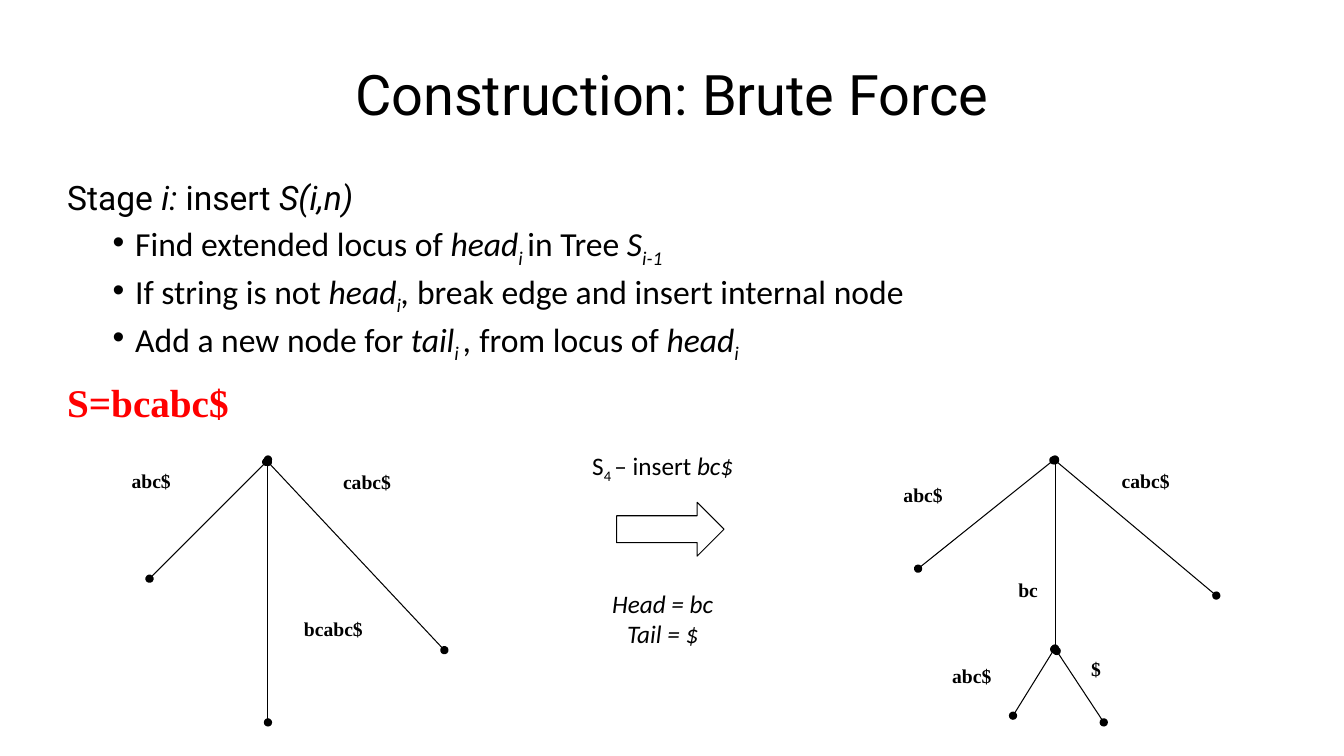
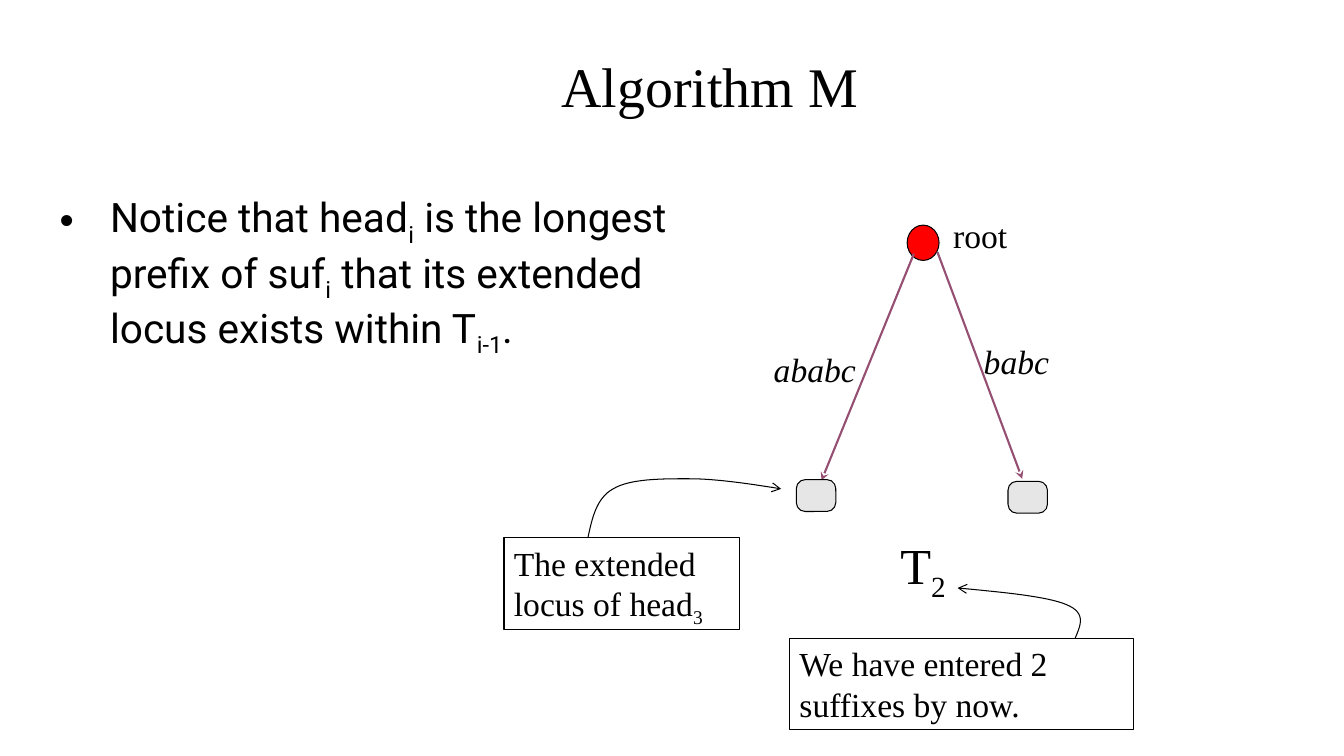
from dataclasses import dataclass

from lxml import etree
from pptx import Presentation
from pptx.dml.color import RGBColor
from pptx.enum.shapes import MSO_CONNECTOR, MSO_SHAPE
from pptx.enum.text import MSO_ANCHOR, PP_ALIGN
from pptx.oxml.ns import qn
from pptx.util import Emu, Pt

LEFT, CENTER = PP_ALIGN.LEFT, PP_ALIGN.CENTER
TOP, MIDDLE = MSO_ANCHOR.TOP, MSO_ANCHOR.MIDDLE
STRAIGHT = MSO_CONNECTOR.STRAIGHT
ARROW, OVAL = MSO_SHAPE.RIGHT_ARROW, MSO_SHAPE.OVAL
ROUND = MSO_SHAPE.ROUNDED_RECTANGLE

BLACK = RGBColor(0x00, 0x00, 0x00)
WHITE = RGBColor(0xFF, 0xFF, 0xFF)
RED = RGBColor(0xFF, 0x00, 0x00)
GRAY = RGBColor(0xE7, 0xE6, 0xE6)
PLUM = RGBColor(0x95, 0x4F, 0x72)

SANS, BODY, SERIF = "Roboto", "Calibri", "Times New Roman"
COLS, ROWS = 160, 90  # grid of twelve cells to the inch
CELL = 76200
THIN = 0.75

Point = tuple[float, float]
Box = tuple[float, float, float, float]


@dataclass(frozen=True)
class Para:
    """A paragraph: *...* is italic, _..._ is subscript; lengths in cells."""
    text: str
    size: float
    face: str = SERIF
    color: RGBColor = BLACK
    bold: bool = False
    align: PP_ALIGN = LEFT
    before: float = 0
    pitch: float = 1
    left: float = 0
    hang: float = 0


@dataclass(frozen=True)
class Label:
    """Text centred on column x, its box starting at row y."""
    text: str
    x: float
    y: float
    size: float = 24
    face: str = SERIF
    bold: bool = False


@dataclass(frozen=True)
class Edge:
    start: Point
    end: Point
    color: RGBColor = BLACK
    width: float = THIN
    head: str = "oval"
    tail: str = "oval"


@dataclass(frozen=True)
class Form:
    kind: MSO_SHAPE
    box: Box
    fill: RGBColor
    adj: tuple[float, ...] = ()


def cells(*nums: float) -> list[Emu]:
    return [Emu(round(n * CELL)) for n in nums]


# Text
def add_para(para, item: Para) -> None:
    para.alignment = item.align
    para.line_spacing = item.pitch
    para.space_before = Pt(item.before)
    if item.hang:
        props = para._p.get_or_add_pPr()
        left, hang = cells(item.left, item.hang)
        props.set("marL", str(left))
        props.set("indent", str(-hang))
        etree.SubElement(props, qn("a:buFont")).set("typeface", "Arial")
        etree.SubElement(props, qn("a:buChar")).set("char", "•")
    font = para.font
    font.size, font.name, font.bold = Pt(item.size), item.face, item.bold
    font.color.rgb = item.color
    for i, part in enumerate(item.text.split("*")):
        for j, text in enumerate(part.split("_")):
            if not text:
                continue
            run = para.add_run()
            run.text = text
            if i % 2:
                run.font.italic = True
            if j % 2:
                run._r.get_or_add_rPr().set("baseline", "-25000")


def add_text(slide, box: Box, items: list[Para], anchor=TOP, inset: bool = False):
    shape = slide.shapes.add_textbox(*cells(*box))
    frame = shape.text_frame
    frame.word_wrap = True
    frame.vertical_anchor = anchor
    if not inset:
        frame.margin_left = frame.margin_right = 0
        frame.margin_top = frame.margin_bottom = 0
    for i, item in enumerate(items):
        add_para(frame.add_paragraph() if i else frame.paragraphs[0], item)
    return shape


def add_title(slide, text: str, box: Box, face: str) -> None:
    add_text(slide, box, [Para(text, 39.9, face, align=CENTER)], MIDDLE)


def add_label(slide, tag: Label) -> None:
    wide = 24
    items = [Para(line, tag.size, tag.face, bold=tag.bold, align=CENTER)
             for line in tag.text.split("\n")]
    add_text(slide, (tag.x - wide / 2, tag.y, wide, 5), items, inset=True)


def add_note(slide, text: str, box: Box) -> None:
    shape = add_text(slide, box, [Para(text, 24)], inset=True)
    set_line(shape)


# Lines and shapes
def set_line(shape, color: RGBColor = BLACK, width: float = THIN,
             head: str = "none", tail: str = "none") -> None:
    shape.line.color.rgb = color
    shape.line.width = Pt(width)
    ln = shape.line._get_or_add_ln()
    for name, kind in (("a:headEnd", head), ("a:tailEnd", tail)):
        if kind != "none":
            etree.SubElement(ln, qn(name)).set("type", kind)


def add_edge(slide, edge: Edge) -> None:
    line = slide.shapes.add_connector(STRAIGHT, *cells(*edge.start, *edge.end))
    set_line(line, edge.color, edge.width, edge.head, edge.tail)
    etree.SubElement(line._element.spPr, qn("a:effectLst"))


def add_form(slide, form: Form) -> None:
    shape = slide.shapes.add_shape(form.kind, *cells(*form.box))
    shape.shadow.inherit = False
    shape.fill.solid()
    shape.fill.fore_color.rgb = form.fill
    set_line(shape)
    for i, value in enumerate(form.adj):
        shape.adjustments[i] = value


def add_curve(slide, start: Point, arcs: list[tuple[Point, Point, Point]]) -> None:
    """Trace cubic arcs, each given as two handles and an end point."""
    steps = 16
    pen = slide.shapes.build_freeform(*cells(*start))
    last = start
    for one, two, end in arcs:
        dots = []
        for step in range(1, steps + 1):
            t = step / steps
            u = 1 - t
            dots.append(cells(*(
                u**3 * a + 3 * u * u * t * b + 3 * u * t * t * c + t**3 * d
                for a, b, c, d in zip(last, one, two, end))))
        pen.add_line_segments(dots, close=False)
        last = end
    shape = pen.convert_to_shape()
    shape.shadow.inherit = False
    shape.fill.background()
    set_line(shape, tail="arrow")


# Slides
def draw_force(slide) -> None:
    add_title(slide, "Construction: Brute Force", (8, 3.6, 144, 15), SANS)
    points = ("Find extended locus of *head_i _*in Tree *S_i-1_*",
              "If string is not *head_i_, *break edge and insert internal node",
              "Add a new node for *tail_i _, *from locus of *head_i_*")
    add_text(slide, (8, 21.1, 144, 67.3), [
        Para("Stage *i: *insert *S(i,n)*", 24, SANS),
        *(Para(text, 24, BODY, before=4.5, pitch=0.9, left=8.1, hang=2.7)
          for text in points),
        Para("S=bcabc$", 28, color=RED, bold=True, before=12.8)])

    # Trees before and after the insertion
    for edge in (Edge((17.8, 68.9), (31.7, 55)),
                 Edge((31.9, 54.7), (31.9, 86)),
                 Edge((31.9, 55), (52.9, 77.4)),
                 Edge((109.3, 67.7), (125.4, 54.8)),
                 Edge((125.6, 54.7), (125.6, 77.2)),
                 Edge((125.6, 54.8), (144.8, 70.9)),
                 Edge((125.5, 77.3), (120.6, 85.2)),
                 Edge((125.8, 77.5), (131.4, 86))):
        add_edge(slide, edge)
    for text, x, y in (("abc$", 18, 55.2), ("bcabc$", 39.7, 72.8),
                       ("cabc$", 43.7, 55.4), ("abc$", 109.9, 56.9),
                       ("bc", 122.4, 68.2), ("cabc$", 136.4, 55.2),
                       ("abc$", 115.7, 78.4), ("$", 130.5, 77.6)):
        add_label(slide, Label(text, x, y, 14, bold=True))

    # Step between the trees
    add_label(slide, Label("S_4 _– insert *bc$*", 78.9, 53, 18, BODY))
    add_form(slide, Form(ARROW, (73.4, 59.8, 12.8, 6.4), WHITE, (0.5, 0.5)))
    add_label(slide, Label("*Head = bc*\n*Tail = $*", 78.9, 69.4, 18, BODY))


def draw_algo(slide) -> None:
    add_title(slide, "Algorithm M", (34, 3.1, 101, 14), SERIF)
    add_text(slide, (7.1, 22.9, 79, 64), [
        Para("Notice that head_i_ is the longest prefix of suf_i_ that its "
             "extended locus exists within T_i-1_.", 29, SANS, left=6, hang=6)])

    # Tree
    add_form(slide, Form(OVAL, (108, 26.8, 3.8, 4.2), RED))
    for start, end in (((108.8, 30.2), (97.8, 57.2)),
                       ((111.6, 30), (121.7, 57))):
        add_edge(slide, Edge(start, end, PLUM, 1.5, "none", "stealth"))
    for x, y in ((94.8, 57.1), (120, 57.3)):
        add_form(slide, Form(ROUND, (x, y, 4.7, 3.8), GRAY, (0.28,)))
    for tag in (Label("*ababc*", 97, 41), Label("*babc*", 121, 40),
                Label("root", 116.7, 25), Label("T_2_", 109.9, 63, 36)):
        add_label(slide, tag)

    # Notes and their arrows
    add_note(slide, "We have entered 2 suffixes by now.", (94, 76, 41, 10.9))
    add_note(slide, "The extended locus of head_3_", (60, 64, 28, 10.9))
    add_curve(slide, (128, 76), [((128.6, 74.5), (129.4, 73), (127, 72)),
                                 ((124.7, 71), (119.3, 70.5), (114, 70))])
    add_curve(slide, (70, 64), [((70.5, 61.7), (71, 59.3), (73, 58.2)),
                                ((75, 57), (78.7, 57), (82, 57)),
                                ((85.3, 57), (89.2, 57.6), (93, 58.2))])


def main() -> None:
    deck = Presentation()
    deck.slide_width, deck.slide_height = cells(COLS, ROWS)
    blank = deck.slide_layouts[6]
    for draw in (draw_force, draw_algo):
        draw(deck.slides.add_slide(blank))
    deck.save("out.pptx")


if __name__ == "__main__":
    main()
